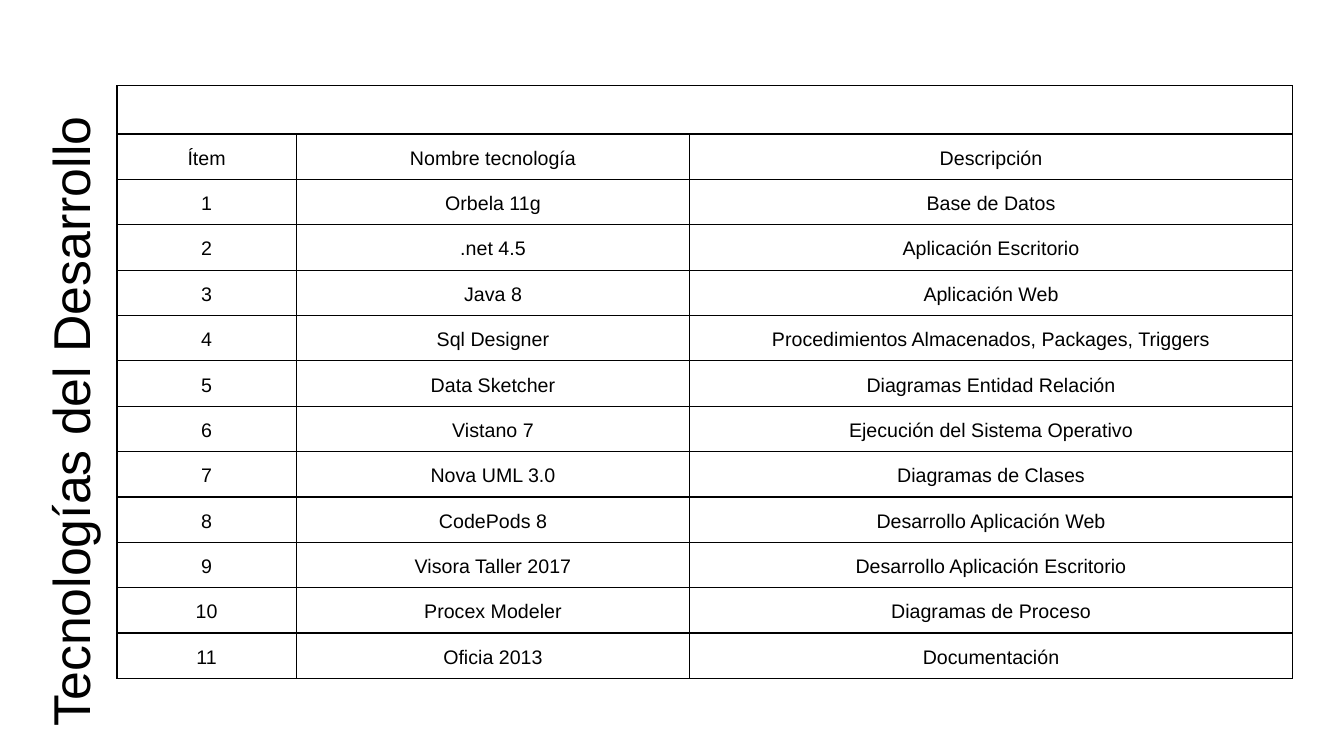
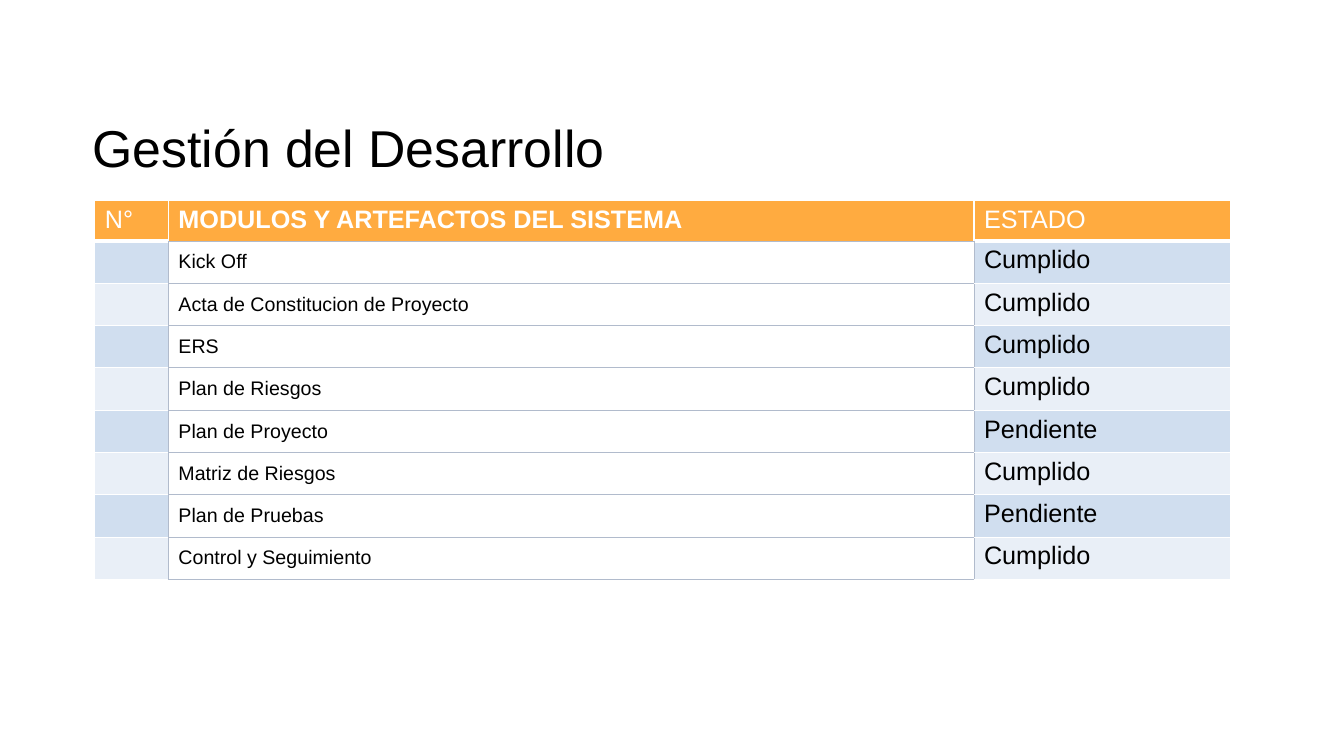
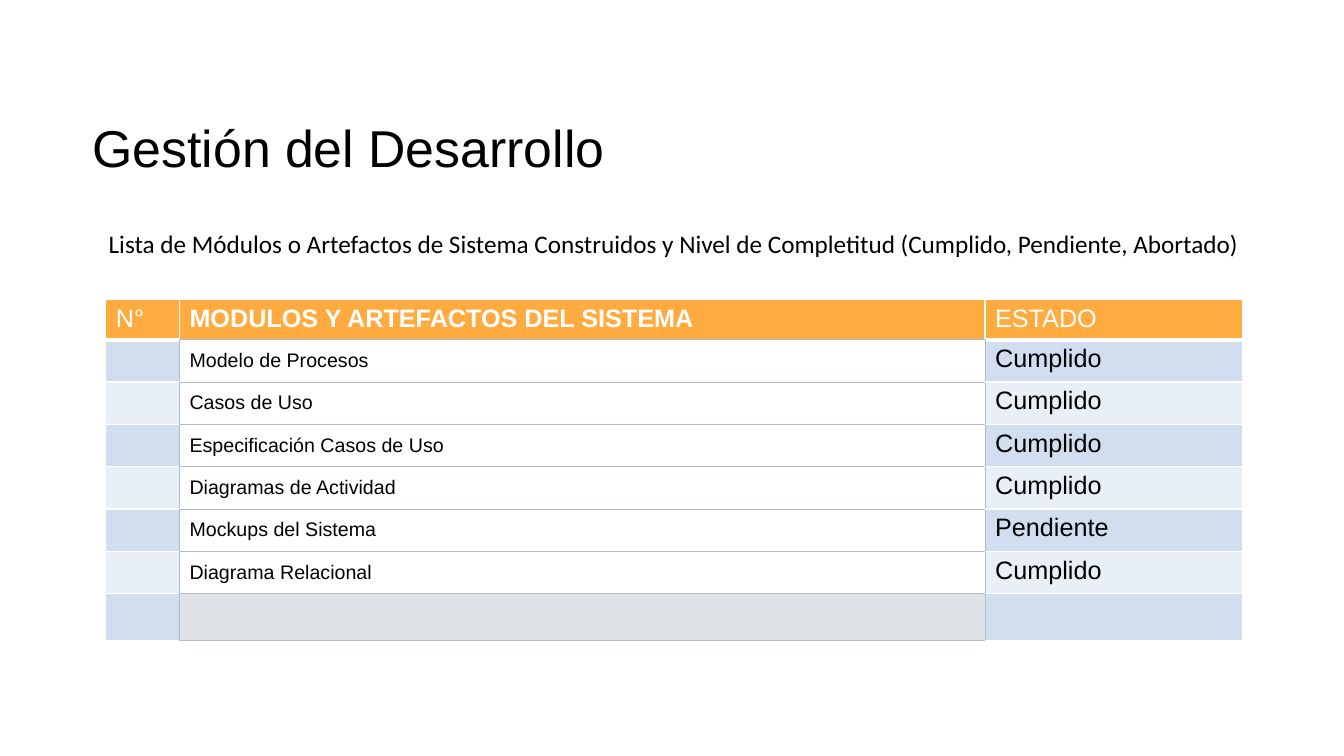
from dataclasses import dataclass, field

from lxml import etree
from pptx import Presentation
from pptx.dml.color import RGBColor
from pptx.enum.text import MSO_ANCHOR, PP_ALIGN
from pptx.oxml.ns import qn
from pptx.util import Inches, Pt

MIDDLE = MSO_ANCHOR.MIDDLE
TOP = MSO_ANCHOR.TOP
LEFT = PP_ALIGN.LEFT
CENTER = PP_ALIGN.CENTER
BLANK_LAYOUT = 6


@dataclass(frozen=True)
class Theme:
    black: str = "000000"
    white: str = "FFFFFF"
    orange: str = "FFAB40"
    blue: str = "D0DEEF"
    pale_blue: str = "E9EFF7"
    gray: str = "DFE3E8"
    rule: str = "B1BBCC"
    font: str = "Arial"
    caption_font: str = "Calibri"
    title_size: int = 37
    body_size: int = 18
    small_size: int = 14


THEME = Theme()


@dataclass(frozen=True)
class Frame:
    left: float
    top: float
    width: float
    height: float


@dataclass(frozen=True)
class TextStyle:
    size: int = THEME.body_size
    color: str = THEME.black
    font: str = THEME.font
    bold: bool = False
    align: PP_ALIGN = LEFT
    line_spacing: float = 1.0


@dataclass(frozen=True)
class Edge:
    color: str
    points: float


@dataclass(frozen=True)
class Borders:
    left: Edge
    right: Edge
    top: Edge
    bottom: Edge


@dataclass(frozen=True)
class CellStyle:
    borders: Borders
    fill: str | None = None
    text: TextStyle = field(default_factory=TextStyle)
    inset_x: float = 0.1
    inset_top: float = 0.05
    inset_bottom: float = 0.05


THIN_WHITE = Edge(THEME.white, 1)
THICK_WHITE = Edge(THEME.white, 3)
RULE = Edge(THEME.rule, 0.75)
BLACK_LINE = Edge(THEME.black, 1)

TITLE_FRAME = Frame(0.82, 0.77, 11.5, 1.45)
SIDE_TITLE_FRAME = Frame(-2.82, 3.03, 7.1, 1.45)
CAPTION_FRAME = Frame(0.98, 2.22, 11.54, 0.4)
TITLE_STYLE = TextStyle(size=THEME.title_size, line_spacing=0.9)
CAPTION_STYLE = TextStyle(font=THEME.caption_font)

TECHNOLOGY_COLUMNS = (1.78, 3.9, 5.98)
TECHNOLOGY_HEADER = ("Ítem", "Nombre tecnología", "Descripción")
TECHNOLOGIES = (
    ("Orbela 11g", "Base de Datos"),
    (".net 4.5", "Aplicación Escritorio"),
    ("Java 8", "Aplicación Web"),
    ("Sql Designer", "Procedimientos Almacenados, Packages, Triggers"),
    ("Data Sketcher", "Diagramas Entidad Relación"),
    ("Vistano 7", "Ejecución del Sistema Operativo"),
    ("Nova UML 3.0", "Diagramas de Clases"),
    ("CodePods 8", "Desarrollo Aplicación Web"),
    ("Visora Taller 2017", "Desarrollo Aplicación Escritorio"),
    ("Procex Modeler", "Diagramas de Proceso"),
    ("Oficia 2013", "Documentación"),
)

STATUS_COLUMNS = (0.73, 7.99, 2.55)
STATUS_HEADER = ("N°", "MODULOS Y ARTEFACTOS DEL SISTEMA", "ESTADO")
DONE = "Cumplido"
PENDING = "Pendiente"
MANAGEMENT_ARTIFACTS = (
    ("Kick Off", DONE),
    ("Acta de Constitucion de Proyecto", DONE),
    ("ERS", DONE),
    ("Plan de Riesgos", DONE),
    ("Plan de Proyecto", PENDING),
    ("Matriz de Riesgos", DONE),
    ("Plan de Pruebas", PENDING),
    ("Control y Seguimiento", DONE),
)
SYSTEM_ARTIFACTS = (
    ("Modelo de Procesos", DONE),
    ("Casos de Uso", DONE),
    ("Especificación Casos de Uso", DONE),
    ("Diagramas de Actividad", DONE),
    ("Mockups del Sistema", PENDING),
    ("Diagrama Relacional", DONE),
    ("", ""),
)


def write_text(text_frame, text: str, style: TextStyle) -> None:
    text_frame.text = text
    for paragraph in text_frame.paragraphs:
        paragraph.alignment = style.align
        paragraph.line_spacing = style.line_spacing
        for span in paragraph.runs:
            span.font.name = style.font
            span.font.size = Pt(style.size)
            span.font.bold = style.bold
            span.font.color.rgb = RGBColor.from_string(style.color)


def add_text(page, frame: Frame, text: str, style: TextStyle,
             anchor: MSO_ANCHOR = TOP, rotation: int = 0) -> None:
    box = page.shapes.add_textbox(Inches(frame.left), Inches(frame.top),
                                  Inches(frame.width), Inches(frame.height))
    box.rotation = rotation
    box.text_frame.word_wrap = True
    box.text_frame.vertical_anchor = anchor
    write_text(box.text_frame, text, style)


def add_titled_page(deck, title: str, frame: Frame = TITLE_FRAME, rotation: int = 0):
    page = deck.slides.add_slide(deck.slide_layouts[BLANK_LAYOUT])
    add_text(page, frame, title, TITLE_STYLE, MIDDLE, rotation)
    return page


def add_grid(page, left: float, top: float, columns: tuple[float, ...],
             rows: list[float]):
    table = page.shapes.add_table(
        len(rows), len(columns), Inches(left), Inches(top),
        Inches(sum(columns)), Inches(sum(rows))).table
    table.first_row = False
    table.horz_banding = False
    for column, width in zip(table.columns, columns):
        column.width = Inches(width)
    for row, height in zip(table.rows, rows):
        row.height = Inches(height)
    return table


def set_borders(cell, borders: Borders) -> None:
    properties = cell._tc.get_or_add_tcPr()
    edges = (("a:lnL", borders.left), ("a:lnR", borders.right),
             ("a:lnT", borders.top), ("a:lnB", borders.bottom))
    for position, (tag, edge) in enumerate(edges):
        line = etree.Element(qn(tag), w=str(Pt(edge.points)))
        fill = etree.SubElement(line, qn("a:solidFill"))
        etree.SubElement(fill, qn("a:srgbClr"), val=edge.color)
        properties.insert(position, line)


def fill_cell(cell, text: str, style: CellStyle) -> None:
    cell.margin_left = cell.margin_right = Inches(style.inset_x)
    cell.margin_top = Inches(style.inset_top)
    cell.margin_bottom = Inches(style.inset_bottom)
    if style.fill is None:
        cell.fill.background()
    else:
        cell.fill.solid()
        cell.fill.fore_color.rgb = RGBColor.from_string(style.fill)
    set_borders(cell, style.borders)
    write_text(cell.text_frame, text, style.text)


def add_technology_table(page) -> None:
    numbered = [(str(number), *technology)
                for number, technology in enumerate(TECHNOLOGIES, start=1)]
    rows = [("", "", ""), TECHNOLOGY_HEADER, *numbered]
    heights = [0.48] + [0.45] * (len(rows) - 1)
    table = add_grid(page, 1.16, 0.85, TECHNOLOGY_COLUMNS, heights)
    style = CellStyle(
        Borders(BLACK_LINE, BLACK_LINE, BLACK_LINE, BLACK_LINE),
        text=TextStyle(size=THEME.small_size, align=CENTER, line_spacing=1.15),
        inset_x=0.07, inset_top=0.1, inset_bottom=0.07)
    for row_index, texts in enumerate(rows):
        for column_index, text in enumerate(texts):
            fill_cell(table.cell(row_index, column_index), text, style)
    table.cell(0, 0).merge(table.cell(0, len(TECHNOLOGY_COLUMNS) - 1))


def header_styles() -> list[CellStyle]:
    return [
        CellStyle(Borders(THIN_WHITE, THIN_WHITE, THIN_WHITE, bottom), THEME.orange,
                  TextStyle(color=THEME.white, bold=bold))
        for bottom, bold in ((THICK_WHITE, False), (RULE, True), (THICK_WHITE, False))
    ]


def artifact_styles(row_index: int, artifact: str) -> list[CellStyle]:
    band = THEME.blue if row_index % 2 else THEME.pale_blue
    top = THICK_WHITE if row_index == 1 else THIN_WHITE
    return [
        CellStyle(Borders(THIN_WHITE, RULE, top, THIN_WHITE), band),
        CellStyle(Borders(RULE, RULE, RULE, RULE),
                  THEME.white if artifact else THEME.gray,
                  TextStyle(size=THEME.small_size),
                  inset_top=0.1, inset_bottom=0.07),
        CellStyle(Borders(RULE, THIN_WHITE, top, THIN_WHITE), band),
    ]


def add_status_table(page, left: float, top: float,
                     artifacts: tuple[tuple[str, str], ...]) -> None:
    rows = [STATUS_HEADER, *(("", artifact, status) for artifact, status in artifacts)]
    heights = [0.4] + [0.42] * len(artifacts)
    table = add_grid(page, left, top, STATUS_COLUMNS, heights)
    for row_index, texts in enumerate(rows):
        styles = artifact_styles(row_index, texts[1]) if row_index else header_styles()
        for column_index, (text, style) in enumerate(zip(texts, styles)):
            fill_cell(table.cell(row_index, column_index), text, style)


def main() -> None:
    deck = Presentation()
    deck.slide_width = Inches(13.33)
    deck.slide_height = Inches(7.5)

    technologies = add_titled_page(deck, "Tecnologías del Desarrollo",
                                   SIDE_TITLE_FRAME, 270)
    add_technology_table(technologies)

    management = add_titled_page(deck, "Gestión del Desarrollo")
    add_status_table(management, 0.94, 1.99, MANAGEMENT_ARTIFACTS)

    system = add_titled_page(deck, "Gestión del Desarrollo")
    add_text(system, CAPTION_FRAME,
             "Lista de Módulos o Artefactos de Sistema Construidos y Nivel de "
             "Completitud (Cumplido, Pendiente, Abortado)", CAPTION_STYLE)
    add_status_table(system, 1.05, 2.97, SYSTEM_ARTIFACTS)

    deck.save("out.pptx")


if __name__ == "__main__":
    main()
